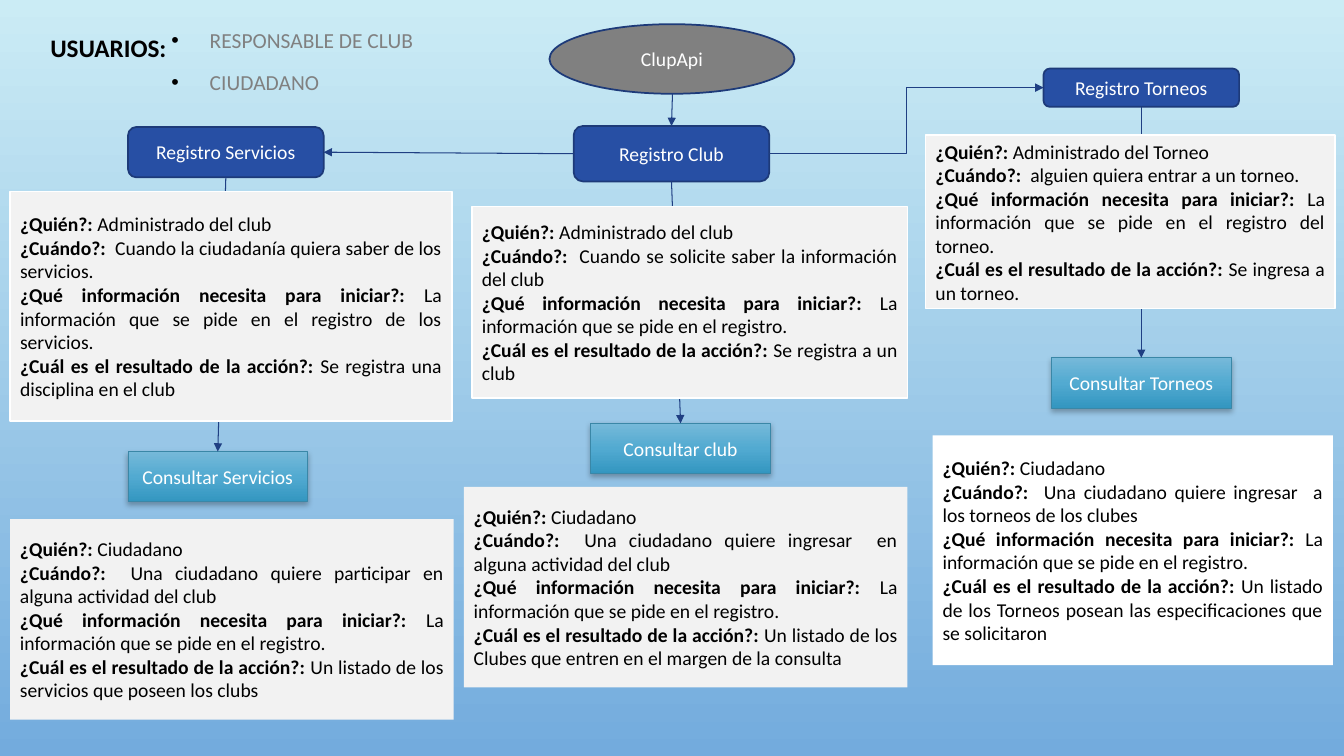
import pptx
import pptx.dml.color
import pptx.enum.dml
import pptx.enum.shapes
import pptx.enum.text
import pptx.oxml
import pptx.oxml.ns
import pptx.util
from lxml import etree
from pptx.util import Inches

Shapes = pptx.enum.shapes.MSO_SHAPE
Connectors = pptx.enum.shapes.MSO_CONNECTOR
Align = pptx.enum.text.PP_ALIGN
Anchor = pptx.enum.text.MSO_ANCHOR
qn = pptx.oxml.ns.qn

FONT = "Calibri"
COLORS = {
    "sky_top": "CBECF5", "sky_bottom": "73ABDD",
    "black": "000000", "white": "FFFFFF", "gray": "808080", "card": "F2F2F2",
    "register": "274FA4", "register_line": "1D3A79", "arrow": "1F3F83",
    "query_top": "76B9D9", "query_mid": "52AAD1", "query_bottom": "3396C0",
    "query_line": "3A87A7",
}
QUESTIONS = [
    "¿Quién?: ",
    "¿Cuándo?:  ",
    "¿Qué información necesita para iniciar?: ",
    "¿Cuál es el resultado de la acción?: ",
]
ASKED_INFO = "La información que se pide en el registro"
# Box, fill, outline and the answers to the four questions
CARDS = [
    ((0.1, 5.15, 4.4, 1.99), "card", None, [
        "Ciudadano",
        "Una ciudadano quiere participar en alguna actividad del club",
        ASKED_INFO + ".",
        "Un listado de los servicios que poseen los clubs"]),
    ((4.6, 4.83, 4.4, 1.99), "card", None, [
        "Ciudadano",
        "Una ciudadano quiere ingresar  en alguna actividad del club",
        ASKED_INFO + ".",
        "Un listado de los Clubes que entren en el margen de la consulta"]),
    ((9.25, 4.32, 3.97, 2.28), "white", None, [
        "Ciudadano",
        "Una ciudadano quiere ingresar  a los torneos de los clubes",
        ASKED_INFO + ".",
        "Un listado de los Torneos posean las especificaciones que se solicitaron"]),
    ((4.68, 2.05, 4.32, 1.9), "card", "white", [
        "Administrado del club",
        "Cuando se solicite saber la información del club",
        ASKED_INFO + ".",
        "Se registra a un club"]),
    ((9.18, 1.34, 4.06, 1.72), "card", "white", [
        "Administrado del Torneo",
        "alguien quiera entrar a un torneo.",
        ASKED_INFO + " del torneo.",
        "Se ingresa a un torneo."]),
    ((0.1, 1.9, 4.38, 2.28), "card", "white", [
        "Administrado del club",
        "Cuando la ciudadanía quiera saber de los servicios.",
        ASKED_INFO + " de los servicios.",
        "Se registra una disciplina en el club"]),
]


def rgb(name):
    return pptx.dml.color.RGBColor.from_string(COLORS[name])


def add_run(paragraph, text, color, size=14, bold=False):
    run = paragraph.add_run()
    run.text = text
    run.font.name = FONT
    run.font.size = pptx.util.Pt(size)
    run.font.bold = bold
    run.font.color.rgb = rgb(color)


def fill_downward(fill, owner, names):
    """Give the fill evenly spaced gradient stops from top to bottom."""
    fill.gradient()
    fill.gradient_angle = 270
    stops = owner.find(".//" + qn("a:gsLst"))
    for stop in list(stops):
        stops.remove(stop)
    for i, name in enumerate(names):
        stop = etree.SubElement(stops, qn("a:gs"), pos=str(100000 * i // (len(names) - 1)))
        etree.SubElement(stop, qn("a:srgbClr"), val=COLORS[name])


def place(shape, box):
    shape.left, shape.top, shape.width, shape.height = map(Inches, box)


def add_box(slide, kind, box, line, line_width=1.25):
    shape = slide.shapes.add_shape(kind, *map(Inches, box))
    shape.shadow.inherit = False
    if line:
        shape.line.color.rgb = rgb(line)
        shape.line.width = pptx.util.Pt(line_width)
    else:
        shape.line.fill.background()
    shape.text_frame.word_wrap = True
    shape.text_frame.vertical_anchor = Anchor.MIDDLE
    return shape


def add_label(shape, text):
    paragraph = shape.text_frame.paragraphs[0]
    paragraph.alignment = Align.CENTER
    add_run(paragraph, text, "white")


def add_node(slide, text, box, fill="register", kind=Shapes.ROUNDED_RECTANGLE):
    node = add_box(slide, kind, box, "register_line")
    node.fill.solid()
    node.fill.fore_color.rgb = rgb(fill)
    add_label(node, text)
    return node


def add_query(slide, text, left, top):
    query = add_box(slide, Shapes.RECTANGLE, (left, top, 1.78, 0.5), "query_line", 0.75)
    fill_downward(query.fill, query._element, ["query_top", "query_mid", "query_bottom"])
    effects = query._element.spPr.find(qn("a:effectLst"))
    shadow = etree.SubElement(effects, qn("a:outerShdw"), blurRad="50800", dist="25400",
                              dir="5400000", rotWithShape="0")
    shade = etree.SubElement(shadow, qn("a:srgbClr"), val=COLORS["black"])
    etree.SubElement(shade, qn("a:alpha"), val="28000")
    add_label(query, text)
    return query


def add_card(slide, box, fill, line, answers):
    card = add_box(slide, Shapes.RECTANGLE, box, line)
    card.fill.solid()
    card.fill.fore_color.rgb = rgb(fill)
    frame = card.text_frame
    for i, (question, answer) in enumerate(zip(QUESTIONS, answers)):
        paragraph = frame.add_paragraph() if i else frame.paragraphs[0]
        paragraph.alignment = Align.JUSTIFY
        add_run(paragraph, question, "black", bold=True)
        add_run(paragraph, answer, "black")


def add_arrow(slide, target, target_side, source=None, source_side=2,
              start=(0, 0), kind=Connectors.STRAIGHT):
    """Arrow to a side of target, from a side of source or from a start point."""
    x, y = map(Inches, start)
    arrow = slide.shapes.add_connector(kind, x, y, x, y)
    if source is not None:
        arrow.begin_connect(source, source_side)
    arrow.end_connect(target, target_side)
    arrow.line.color.rgb = rgb("arrow")
    arrow.line.width = pptx.util.Pt(0.75)
    etree.SubElement(arrow.line._get_or_add_ln(), qn("a:tailEnd"), type="triangle")
    etree.SubElement(arrow._element.spPr, qn("a:effectLst"))


def write_users(slide):
    title, users = slide.shapes.title, slide.placeholders[1]
    place(title, (0, 0.12, 2.15, 0.55))
    place(users, (1.6, 0.19, 2.88, 0.8))
    for holder, anchor in ((title, Anchor.BOTTOM), (users, Anchor.TOP)):
        holder.text_frame.auto_size = pptx.enum.text.MSO_AUTO_SIZE.NONE
        holder.text_frame.vertical_anchor = anchor
    heading = title.text_frame.paragraphs[0]
    heading.alignment = Align.CENTER
    heading.line_spacing = 0.9
    add_run(heading, "USUARIOS:", "black", 18, True)
    for i, user in enumerate(["RESPONSABLE DE CLUB", "CIUDADANO"]):
        frame = users.text_frame
        paragraph = frame.add_paragraph() if i else frame.paragraphs[0]
        paragraph.alignment = Align.LEFT
        paragraph.line_spacing = 1.1
        paragraph.space_before = pptx.util.Pt(10)
        add_run(paragraph, user, "gray", 15.3)
        props = paragraph._p.get_or_add_pPr()
        props.set("marL", str(Inches(0.38)))
        props.set("indent", str(-Inches(0.38)))
        bullet_color = etree.SubElement(props, qn("a:buClr"))
        etree.SubElement(bullet_color, qn("a:srgbClr"), val=COLORS["black"])
        etree.SubElement(props, qn("a:buFont"), typeface="Arial")
        etree.SubElement(props, qn("a:buChar"), char="•")


def main():
    deck = pptx.Presentation()
    deck.slide_width, deck.slide_height = Inches(13.33), Inches(7.5)
    slide = deck.slides.add_slide(deck.slide_layouts[0])
    fill_downward(slide.background.fill, slide._element, ["sky_top", "sky_bottom"])
    write_users(slide)

    add_node(slide, "ClupApi", (5.45, 0.24, 2.43, 0.69), "gray", Shapes.OVAL)
    club = add_node(slide, "Registro Club", (5.69, 1.25, 1.94, 0.55))
    services = add_node(slide, "Registro Servicios", (1.27, 1.26, 1.94, 0.5))
    tournaments = add_node(slide, "Registro Torneos", (10.35, 0.68, 1.94, 0.38))
    club_query = add_query(slide, "Consultar club", 5.86, 4.2)
    services_query = add_query(slide, "Consultar Servicios", 1.27, 4.48)
    tournaments_query = add_query(slide, "Consultar Torneos", 10.43, 3.55)

    add_arrow(slide, club, 0, start=(6.67, 0.93))
    add_arrow(slide, services, 3, club, 1)
    add_arrow(slide, tournaments, 1, club, 3, kind=Connectors.ELBOW)
    for register, query in ((club, club_query), (services, services_query),
                            (tournaments, tournaments_query)):
        add_arrow(slide, query, 0, register)
    for card in CARDS:
        add_card(slide, *card)
    deck.save("out.pptx")


if __name__ == "__main__":
    main()
